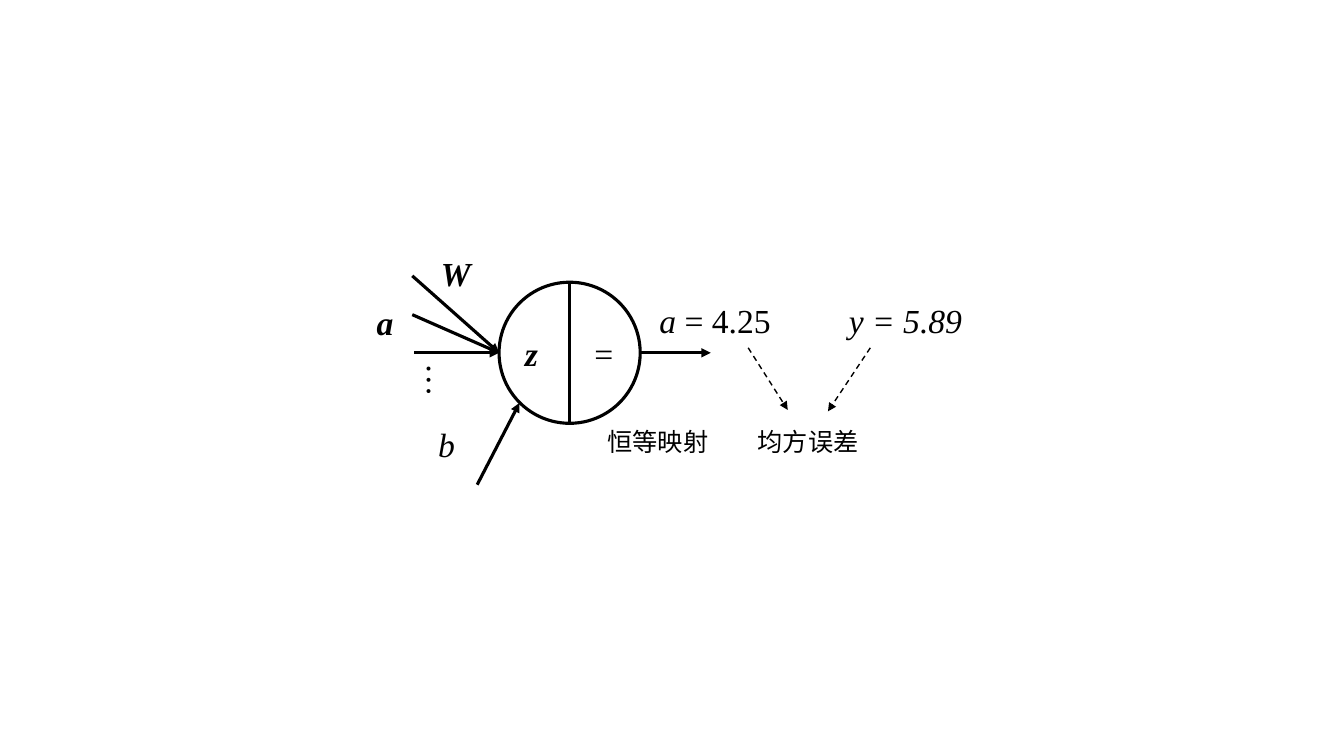
from lxml import etree
from pptx import Presentation
from pptx.dml.color import RGBColor
from pptx.enum.dml import MSO_LINE
from pptx.enum.shapes import MSO_CONNECTOR, MSO_SHAPE
from pptx.enum.text import MSO_AUTO_SIZE
from pptx.oxml.ns import qn
from pptx.util import Inches, Pt

STRAIGHT = MSO_CONNECTOR.STRAIGHT
OVAL = MSO_SHAPE.OVAL
DASH = MSO_LINE.DASH
FIT_SHAPE = MSO_AUTO_SIZE.SHAPE_TO_FIT_TEXT

BLACK = RGBColor(0x00, 0x00, 0x00)
MATH_FONT = "Times New Roman"
CHINESE_FONT = "Noto Sans CJK SC"

# Grid: origin at the neuron's centre, one cell is the neuron's radius.
CENTRE_X, CENTRE_Y, RADIUS = 5.65, 3.5, 0.7
BLANK_LAYOUT = 6

INPUT_STARTS = [(-2.2, 0), (-2.23, -1.09), (-2.23, -0.54)]
LOSS_ARROWS = [((2.53, -0.07), (3.09, 0.81)), ((4.26, -0.07), (3.66, 0.83))]
VALUE_ROW = -0.47
CAPTION_ROW = 1.26


def grid_x(column):
    return Inches(CENTRE_X + column * RADIUS)


def grid_y(row):
    return Inches(CENTRE_Y + row * RADIUS)


def cells(count):
    return Inches(count * RADIUS)


def add_line(slide, start, end, width=2.25, arrow=True, dashed=False):
    connector = slide.shapes.add_connector(
        STRAIGHT, grid_x(start[0]), grid_y(start[1]), grid_x(end[0]), grid_y(end[1]))
    connector.line.color.rgb = BLACK
    connector.line.width = Pt(width)
    if dashed:
        connector.line.dash_style = DASH
    if arrow:
        outline = connector.line._get_or_add_ln()
        etree.SubElement(outline, qn("a:tailEnd"), type="triangle")
    etree.SubElement(connector._element.spPr, qn("a:effectLst"))


def add_neuron(slide):
    circle = slide.shapes.add_shape(OVAL, grid_x(-1), grid_y(-1), cells(2), cells(2))
    circle.shadow.inherit = False
    circle.fill.background()
    circle.line.color.rgb = BLACK
    circle.line.width = Pt(2.25)
    add_line(slide, (0, -1), (0, 1), arrow=False)


def add_label(slide, text, column, row, width, height=0.71, size=24,
              font_name=MATH_FONT, bold=False, italic=False, rotation=0):
    box = slide.shapes.add_textbox(
        grid_x(column - width / 2), grid_y(row - height / 2), cells(width), cells(height))
    box.rotation = rotation
    frame = box.text_frame
    frame.word_wrap = False
    frame.auto_size = FIT_SHAPE
    paragraph = frame.paragraphs[0]
    paragraph.add_run().text = text
    font = paragraph.font
    font.size = Pt(size)
    font.bold = bold
    font.italic = italic
    font.color.rgb = BLACK
    font.name = font_name
    defaults = paragraph._p.pPr.find(qn("a:defRPr"))
    etree.SubElement(defaults, qn("a:ea"), typeface=font_name)
    return paragraph


def add_caption(slide, text, column):
    add_label(slide, text, column, CAPTION_ROW, 1.73, 0.57, 18, CHINESE_FONT)


def main():
    presentation = Presentation()
    presentation.slide_width = Inches(13.33)
    presentation.slide_height = Inches(7.5)
    slide = presentation.slides.add_slide(presentation.slide_layouts[BLANK_LAYOUT])

    add_neuron(slide)
    for start in INPUT_STARTS:
        add_line(slide, start, (-1, 0))
    add_line(slide, (-1.31, 1.87), (-0.71, 0.71))
    add_line(slide, (1, 0), (2, 0))
    for start, end in LOSS_ARROWS:
        add_line(slide, start, end, width=1, dashed=True)

    add_label(slide, "a", -2.61, -0.43, 0.53, bold=True, italic=True)
    add_label(slide, "W", -1.61, -1.13, 0.71, bold=True, italic=True)
    add_label(slide, "…", -1.83, 0.39, 0.77, rotation=90)
    add_label(slide, "b", -1.74, 1.29, 0.53, italic=True)
    add_label(slide, "z", -0.54, 0, 0.47, bold=True, italic=True)
    add_label(slide, "=", 0.49, 0, 0.56)
    output = add_label(slide, "a ", 2.13, VALUE_ROW, 2, italic=True)
    output_value = output.add_run()
    output_value.text = "= 4.25"
    output_value.font.italic = False
    add_label(slide, "y = 5.89", 4.83, VALUE_ROW, 2.03, italic=True)
    add_caption(slide, "恒等映射", 1.26)
    add_caption(slide, "均方误差", 3.39)

    presentation.save("out.pptx")


if __name__ == "__main__":
    main()
